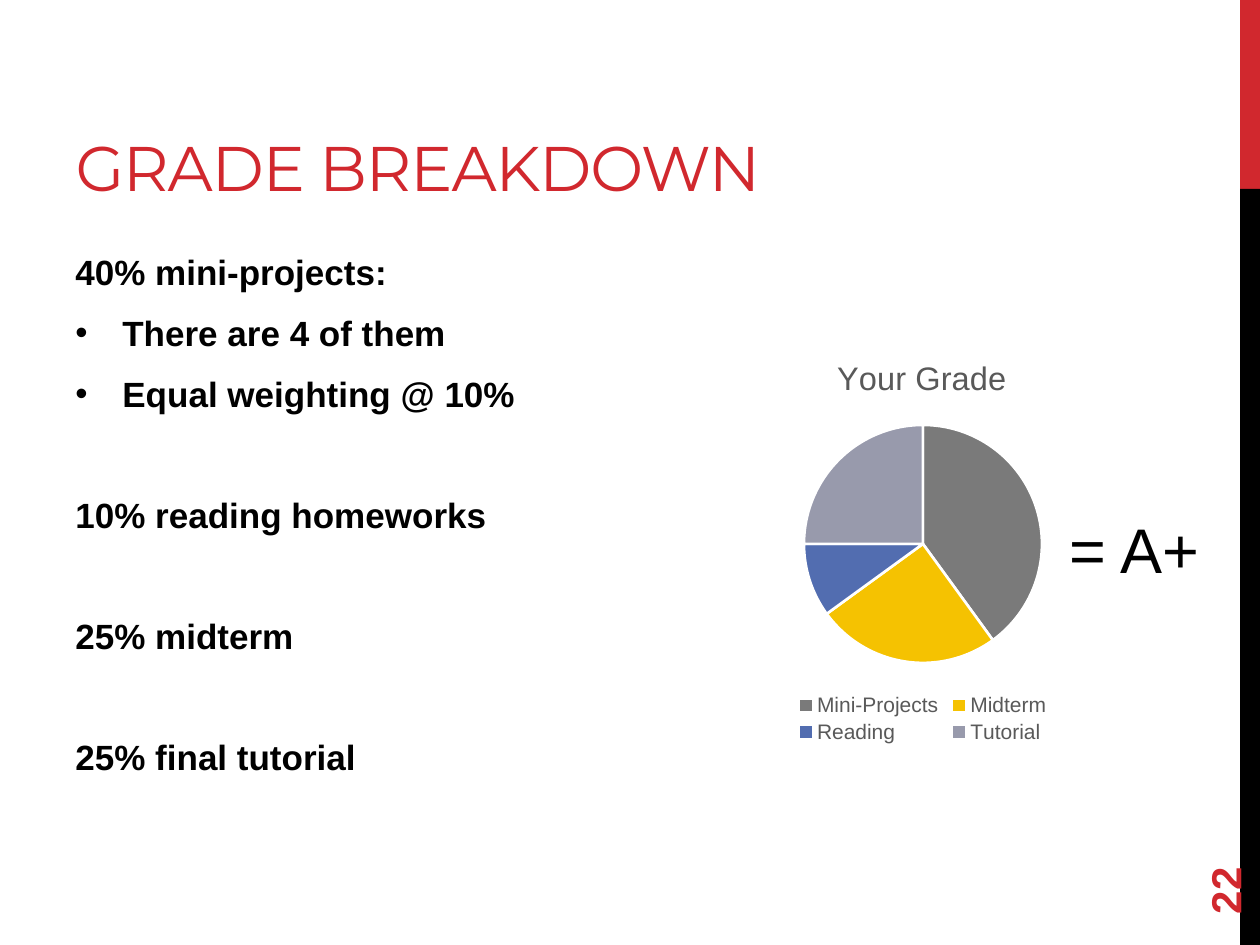
"""Builds the grade breakdown slide with its pie chart."""
from dataclasses import dataclass

from lxml import etree
from pptx import Presentation
from pptx import util as u
from pptx.chart import data as chart_data
from pptx.dml import color
from pptx.enum import chart as charts, shapes, text
from pptx.oxml import ns

SCALE = 914400 / 126


@dataclass(frozen=True)
class Theme:
    accent: str = "D1282E"
    ink: str = "000000"
    muted: str = "595959"
    paper: str = "FFFFFF"
    slices: tuple = ("7A7A7A", "F5C201", "526DB0", "989AAC")
    heading_font: str = "Montserrat"
    body_font: str = "Arial"
    display: int = 36
    number: int = 24
    body: int = 20
    chart_title: float = 18.6
    legend: int = 12


def px(length):
    return u.Emu(round(length * SCALE))


def rgb(value):
    return color.RGBColor.from_string(value)


class SlideBuilder:
    def __init__(self, slide, theme):
        self.slide = slide
        self.theme = theme

    def style(self, font, size, fill, bold=False, name=None):
        font.name = name or self.theme.body_font
        font.size = u.Pt(size)
        font.bold = bold
        font.color.rgb = rgb(fill)

    def place(self, shape, box):
        shape.left, shape.top, shape.width, shape.height = map(px, box)

    def title(self, words, box):
        shape = self.slide.shapes.title
        self.place(shape, box)
        frame = shape.text_frame
        frame.text = words
        frame.word_wrap = True
        frame.auto_size = text.MSO_AUTO_SIZE.NONE
        frame.vertical_anchor = text.MSO_ANCHOR.BOTTOM
        paragraph = frame.paragraphs[0]
        paragraph.alignment = text.PP_ALIGN.LEFT
        run = paragraph.runs[0]
        self.style(run.font, self.theme.display, self.theme.accent, name=self.theme.heading_font)
        run.font._element.set("spc", "-60")

    def bar(self, box, fill):
        shape = self.slide.shapes.add_shape(shapes.MSO_SHAPE.RECTANGLE, *map(px, box))
        shape.shadow.inherit = False
        shape.fill.solid()
        shape.fill.fore_color.rgb = rgb(fill)
        shape.line.fill.background()

    def label(self, words, box, size, fill, bold=False, rotation=0, anchor=text.MSO_ANCHOR.TOP):
        shape = self.slide.shapes.add_textbox(*map(px, box))
        shape.rotation = rotation
        frame = shape.text_frame
        frame.word_wrap = True
        frame.vertical_anchor = anchor
        frame.text = words
        self.style(frame.paragraphs[0].runs[0].font, size, fill, bold)

    def outline(self, groups, box, indent):
        frame = self.slide.shapes.add_textbox(*map(px, box)).text_frame
        frame.word_wrap = True
        paragraph = frame.paragraphs[0]
        for group_index, group in enumerate(groups):
            for item_index, words in enumerate(group):
                if group_index or item_index:
                    paragraph = frame.add_paragraph()
                    paragraph.space_before = u.Pt(5 if item_index else 39)
                paragraph.text = words
                paragraph.space_after = u.Pt(6)
                if item_index:
                    self.bullet(paragraph, indent)
                self.style(paragraph.runs[0].font, self.theme.body, self.theme.ink, True)

    def bullet(self, paragraph, indent):
        properties = paragraph._p.get_or_add_pPr()
        properties.set("marL", str(px(indent)))
        properties.set("indent", str(-px(indent)))
        etree.SubElement(properties, ns.qn("a:buFont")).set("typeface", self.theme.body_font)
        etree.SubElement(properties, ns.qn("a:buChar")).set("char", "•")

    def pie(self, name, shares, box, plot_box, legend_box):
        values = chart_data.CategoryChartData()
        values.categories = list(shares)
        values.add_series(name, list(shares.values()))
        chart = self.slide.shapes.add_chart(
            charts.XL_CHART_TYPE.PIE, *map(px, box), values).chart
        self.style(chart.font, self.theme.legend, self.theme.muted)
        chart.has_title = True
        frame = chart.chart_title.text_frame
        frame.text = name
        self.style(frame.paragraphs[0].runs[0].font, self.theme.chart_title, self.theme.muted)
        chart.has_legend = True
        legend = chart.legend
        legend.position = charts.XL_LEGEND_POSITION.BOTTOM
        legend.include_in_layout = False
        self.style(legend.font, self.theme.legend, self.theme.muted)
        plot = chart.plots[0]
        plot.vary_by_categories = True
        for index, fill in enumerate(self.theme.slices):
            form = plot.series[0].points[index].format
            form.fill.solid()
            form.fill.fore_color.rgb = rgb(fill)
            form.line.color.rgb = rgb(self.theme.paper)
            form.line.width = u.Pt(1.5)
        plot_area = chart._chartSpace.find(".//" + ns.qn("c:plotArea"))
        self.chart_layout(plot_area, 0, box, plot_box, "inner")
        self.chart_layout(legend._element, 1, box, legend_box)

    def chart_layout(self, parent, position, chart_box, box, target=None):
        for old in parent.findall(ns.qn("c:layout")):
            parent.remove(old)
        layout = etree.Element(ns.qn("c:layout"))
        manual = etree.SubElement(layout, ns.qn("c:manualLayout"))
        left, top, width, height = chart_box
        settings = {
            "xMode": "edge", "yMode": "edge",
            "x": round((box[0] - left) / width, 4), "y": round((box[1] - top) / height, 4),
            "w": round(box[2] / width, 4), "h": round(box[3] / height, 4),
        }
        if target:
            settings = {"layoutTarget": target, **settings}
        for tag, value in settings.items():
            etree.SubElement(manual, ns.qn("c:" + tag)).set("val", str(value))
        parent.insert(position, layout)


def main():
    presentation = Presentation()
    presentation.slide_width, presentation.slide_height = px(1260), px(945)
    theme = Theme()
    slide = presentation.slides.add_slide(presentation.slide_layouts[5])
    builder = SlideBuilder(slide, theme)
    builder.bar((1240, 0, 20, 189), theme.accent)
    builder.bar((1240, 189, 20, 756), theme.ink)
    builder.title("GRADE BREAKDOWN", (63, 21, 798, 189))
    builder.outline(
        [("40% mini-projects:", "There are 4 of them", "Equal weighting @ 10%"),
         ("10% reading homeworks",), ("25% midterm",), ("25% final tutorial",)],
        (63, 244, 1050, 602), indent=47)
    builder.pie(
        "Your Grade", {"Mini-Projects": 40, "Midterm": 25, "Reading": 10, "Tutorial": 25},
        (612, 336, 620, 413), plot_box=(804, 425, 238, 238), legend_box=(792, 690, 262, 58))
    builder.label("22", (1134, 811, 181, 50), theme.number, theme.accent, bold=True,
                  rotation=270, anchor=text.MSO_ANCHOR.MIDDLE)
    builder.label("= A+", (1057, 504, 168, 89), theme.display, theme.ink)
    presentation.save("out.pptx")


if __name__ == "__main__":
    main()
